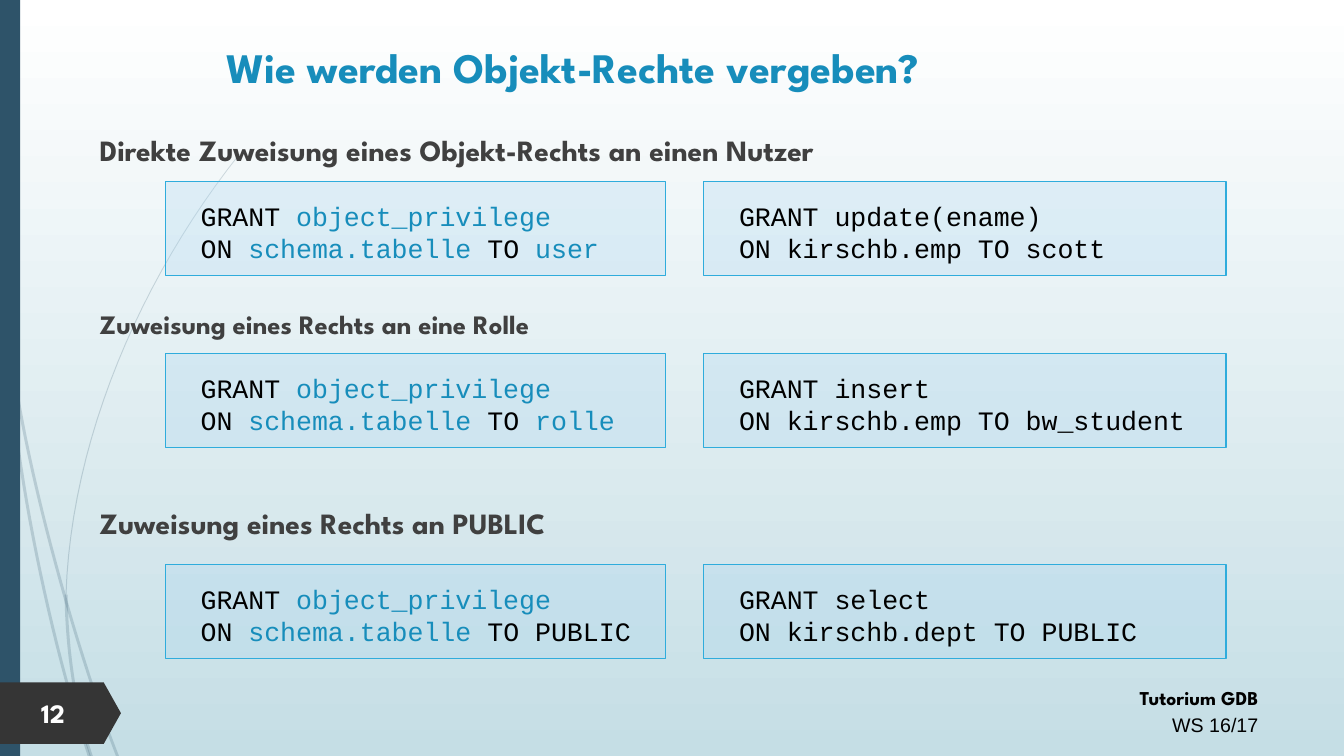
import pptx
import pptx.dml.color
import pptx.enum.shapes
import pptx.enum.text
import pptx.oxml
import pptx.oxml.ns
import pptx.util
from pptx.util import Inches

COLORS = {
    "sky": "FFFFFF", "mist": "C5DEE5", "navy": "2E5369", "tag": "353535",
    "white": "FFFFFF", "black": "000000", "heading": "404040",
    "accent": "178DBB", "code_fill": "A8D5F0", "code_line": "2FACDC",
}
DISPLAY, BODY, CODE = "League Spartan", "Arial", "Courier New"
ALIGN = pptx.enum.text.PP_ALIGN
ANCHOR = pptx.enum.text.MSO_ANCHOR
PRESET = pptx.enum.shapes.MSO_SHAPE

# Width of each blade of grass and the four Bezier points of its left edge
BLADES = [
    (0.01, [(2.37, 1.53), (1.4, 2.75), (0.7, 4.35), (0.65, 5.9)]),
    (0.03, [(0.64, 5.9), (0.65, 6.5), (0.74, 7.05), (0.89, 7.5)]),
    (0.03, [(0.07, 3.5), (0.13, 4.65), (0.49, 6.38), (0.87, 7.5)]),
    (0.03, [(0.1, 3.5), (0.2, 4.46), (0.69, 6.32), (1.15, 7.5)]),
]

# Heading, its size and centre, top of its boxes, grantee, grantee colour, example
SECTIONS = [
    ("Direkte Zuweisung eines Objekt-Rechts an einen Nutzer", 21, 1.49, 1.8,
     "user", "accent", ["GRANT update(ename)", "ON kirschb.emp TO scott"]),
    ("Zuweisung eines Rechts an eine Rolle", 19, 3.21, 3.51,
     "rolle", "accent", ["GRANT insert", "ON kirschb.emp TO bw_student"]),
    ("Zuweisung eines Rechts an PUBLIC", 21, 5.19, 5.6,
     "PUBLIC", "black", ["GRANT select", "ON kirschb.dept TO PUBLIC"]),
]


def rgb(name):
    return pptx.dml.color.RGBColor.from_string(COLORS[name])


def paint(shape, color, opacity=100):
    shape.shadow.inherit = False
    shape.fill.solid()
    shape.fill.fore_color.rgb = rgb(color)
    shape.line.fill.background()
    if opacity < 100:
        tone = shape.element.spPr.find(".//" + pptx.oxml.ns.qn("a:srgbClr"))
        tone.append(pptx.oxml.parse_xml(
            f'<a:alpha {pptx.oxml.ns.nsdecls("a")} val="{opacity * 1000}"/>'))


def add_span(para, text, size, font, color, bold=False):
    span = para.add_run()
    span.text = text
    span.font.size = pptx.util.Pt(size)
    span.font.name = font
    span.font.bold = bold
    span.font.color.rgb = rgb(color)


def add_label(page, left, top, width, height, anchor=ANCHOR.MIDDLE):
    box = page.shapes.add_textbox(*map(Inches, (left, top, width, height)))
    box.text_frame.word_wrap = True
    box.text_frame.vertical_anchor = anchor
    return box.text_frame


def bezier(values, t):
    a, b, c, d = values
    u = 1 - t
    return u**3 * a + 3 * u * u * t * b + 3 * u * t * t * c + t**3 * d


def add_blade(page, width, points, steps=24):
    xs, ys = zip(*points)
    edge = [(bezier(xs, i / steps), bezier(ys, i / steps)) for i in range(steps + 1)]
    outline = edge + [(x + width, y) for x, y in reversed(edge)]
    corners = [(Inches(x), Inches(y)) for x, y in outline]
    builder = page.shapes.build_freeform(*corners[0])
    builder.add_line_segments(corners[1:], close=True)
    paint(builder.convert_to_shape(), "navy", 20)


def add_block(page, preset, left, top, width, height, color, opacity=100):
    block = page.shapes.add_shape(preset, *map(Inches, (left, top, width, height)))
    paint(block, color, opacity)
    return block


def add_code_box(page, left, top, width, lines):
    box = add_block(page, PRESET.RECTANGLE, left, top, width, 0.93, "code_fill", 27)
    box.line.color.rgb = rgb("code_line")
    box.line.width = pptx.util.Pt(0.75)
    frame = box.text_frame
    frame.word_wrap = True
    frame.vertical_anchor = ANCHOR.MIDDLE
    frame.margin_left, frame.margin_top = Inches(0.35), Inches(0.12)
    para = frame.paragraphs[0]
    para.alignment = ALIGN.LEFT
    for index, line in enumerate(lines):
        if index:
            para.add_line_break()
        for text, color in line:
            add_span(para, text, 19, CODE, color)


def add_backdrop(page):
    fill = page.background.fill
    fill.gradient()
    fill.gradient_angle = 270
    for stop, color in zip(fill.gradient_stops, ("sky", "mist")):
        stop.color.rgb = rgb(color)
    for width, points in BLADES:
        add_blade(page, width, points)
    add_block(page, PRESET.RECTANGLE, 0, 0, 0.2, 7.5, "navy")


def add_footer(page):
    frame = add_label(page, 7.38, 6.72, 5.2, 0.64, ANCHOR.TOP)
    for para, text, font in ((frame.paragraphs[0], "Tutorium GDB", DISPLAY),
                             (frame.add_paragraph(), "WS 16/17", BODY)):
        para.alignment = ALIGN.RIGHT
        para.line_spacing = 1.14
        add_span(para, text, 14, font, "black", font == DISPLAY)
    tag = add_block(page, PRESET.PENTAGON, 0, 6.77, 1.2, 0.61, "tag")
    tag.adjustments[0] = 0.28
    number = add_label(page, 0.31, 6.86, 0.7, 0.42)
    add_span(number.paragraphs[0], "12", 19, DISPLAY, "white", True)


def add_title(page):
    title = page.shapes.title
    title.left, title.top, title.width, title.height = map(Inches, (1.2, 0.32, 8.97, 0.69))
    title.text_frame.vertical_anchor = ANCHOR.MIDDLE
    para = title.text_frame.paragraphs[0]
    para.alignment = ALIGN.CENTER
    add_span(para, "Wie werden Objekt-Rechte vergeben?", 30, DISPLAY, "accent", True)


def main():
    deck = pptx.Presentation()
    deck.slide_width, deck.slide_height = Inches(13.33), Inches(7.5)
    page = deck.slides.add_slide(deck.slide_layouts[5])
    add_backdrop(page)
    add_footer(page)
    add_title(page)

    # Heading, syntax and example for each kind of grant
    for heading, size, middle, top, grantee, color, example in SECTIONS:
        label = add_label(page, 0.89, middle - 0.25, 11.72, 0.5)
        add_span(label.paragraphs[0], heading, size, DISPLAY, "heading", True)
        syntax = [[("GRANT ", "black"), ("object_privilege", "accent")],
                  [("ON ", "black"), ("schema.tabelle ", "accent"),
                   ("TO ", "black"), (grantee, color)]]
        add_code_box(page, 1.64, top, 4.96, syntax)
        add_code_box(page, 6.98, top, 5.18, [[(line, "black")] for line in example])

    deck.save("out.pptx")


main()
